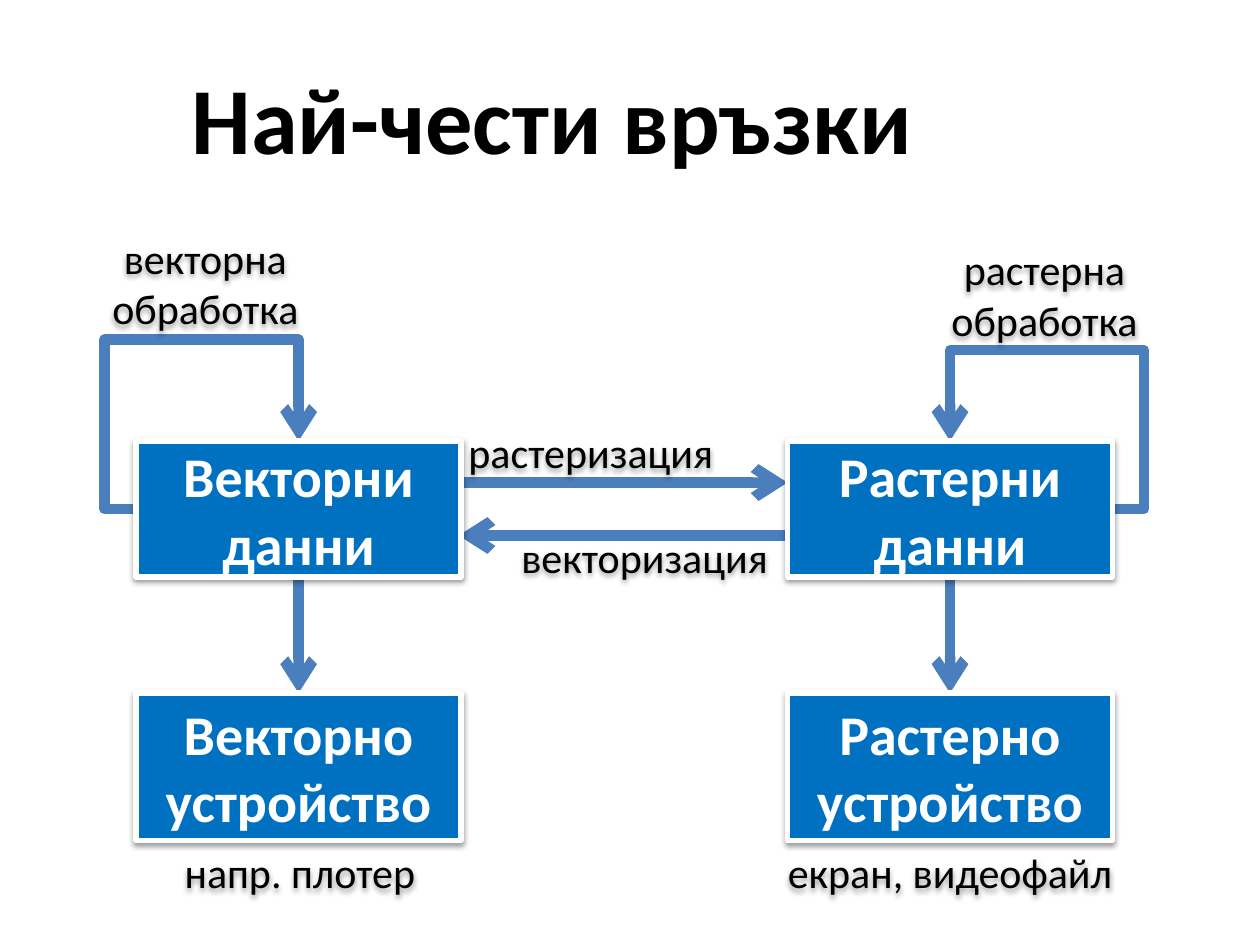
"""Build a slide showing the usual links between vector and raster data."""
from dataclasses import dataclass
from typing import Optional

import lxml.etree
import pptx
import pptx.dml.color
import pptx.enum.shapes
import pptx.enum.text
import pptx.oxml.ns
import pptx.util

Inches = pptx.util.Inches
qn = pptx.oxml.ns.qn
ALIGN = pptx.enum.text.PP_ALIGN
SHAPE = pptx.enum.shapes.MSO_SHAPE
CONNECTOR = pptx.enum.shapes.MSO_CONNECTOR

BLACK, WHITE, BOX_BLUE, ARROW_BLUE = "000000", "FFFFFF", "0070C0", "4B7EBC"
LEFT_X, RIGHT_X, BOX_WIDTH = 1.08, 6.25, 2.58
DATA_Y, DATA_HEIGHT, DEVICE_Y, DEVICE_HEIGHT = 3.5, 1.08, 5.5, 1.17
TOP, LEFT, BOTTOM, RIGHT = range(4)

TITLE_FORMAT = {"name": "Calibri", "size": pptx.util.Pt(54), "bold": True}
BOX_FORMAT = {"name": "Calibri", "size": pptx.util.Pt(32), "bold": True}
LABEL_FORMAT = {"name": "Calibri", "size": pptx.util.Pt(24), "bold": False}


@dataclass
class Block:
    text: str
    left: float
    top: float
    width: float
    height: float
    align: ALIGN = ALIGN.CENTER


@dataclass
class Arrow:
    start: tuple[float, float]
    end: tuple[float, float]
    source: Optional[tuple[str, int]] = None
    target: Optional[tuple[str, int]] = None
    bends: Optional[tuple[int, int]] = None


BOXES = {
    "vector device": Block("Векторно\nустройство", LEFT_X, DEVICE_Y, BOX_WIDTH, DEVICE_HEIGHT),
    "raster device": Block("Растерно устройство", RIGHT_X, DEVICE_Y, BOX_WIDTH, DEVICE_HEIGHT),
    "raster data": Block("Растерни данни", RIGHT_X, DATA_Y, BOX_WIDTH, DATA_HEIGHT),
    "vector data": Block("Векторни\nданни", LEFT_X, DATA_Y, BOX_WIDTH, DATA_HEIGHT),
}
LABELS = [
    Block("векторна обработка", 0.67, 1.83, 1.92, 0.83),
    Block("растерна обработка", 7.25, 1.92, 2.08, 0.83),
    Block("растеризация", 3.58, 3.17, 2.5, 0.83, ALIGN.LEFT),
    Block("векторизация", 4, 4, 2.5, 0.83, ALIGN.LEFT),
    Block("напр. плотер", 0.92, 6.67, 2.92, 0.5),
    Block("екран, видеофайл", 6.08, 6.67, 2.92, 0.5),
]
ARROWS = [
    Arrow((1.08, 4.04), (2.38, 3.5), ("vector data", LEFT), ("vector data", TOP), (-19400, 248700)),
    Arrow((8.83, 4.04), (7.54, 3.5), ("raster data", RIGHT), ("raster data", TOP), (-19400, 233300)),
    Arrow((2.38, 4.58), (2.38, 5.5), ("vector data", BOTTOM), ("vector device", TOP)),
    Arrow((7.54, 4.58), (7.54, 5.5), ("raster data", BOTTOM), ("raster device", TOP)),
    Arrow((3.67, 3.83), (6.25, 3.83)),
    Arrow((6.23, 4.25), (3.64, 4.25)),
]


def color(value: str) -> pptx.dml.color.RGBColor:
    """Return the colour for a hex string."""
    return pptx.dml.color.RGBColor.from_string(value)


def format_text(frame, align: ALIGN, formats: dict, text_color: str) -> None:
    """Format every paragraph of a text frame."""
    frame.vertical_anchor = pptx.enum.text.MSO_ANCHOR.MIDDLE
    frame.word_wrap = True
    for paragraph in frame.paragraphs:
        paragraph.alignment = align
        for run in paragraph.runs:
            for name, value in formats.items():
                setattr(run.font, name, value)
            run.font.color.rgb = color(text_color)


def add_shadow(shape) -> None:
    """Give a shape a soft shadow straight below it."""
    shape.shadow.inherit = False
    effects = shape.element.spPr.find(qn("a:effectLst"))
    shadow = lxml.etree.SubElement(effects, qn("a:outerShdw"), blurRad="40000",
                                   dist="20000", dir="5400000", rotWithShape="0")
    shade = lxml.etree.SubElement(shadow, qn("a:srgbClr"), val=BLACK)
    lxml.etree.SubElement(shade, qn("a:alpha"), val="38000")


def add_block(slide, block: Block, preset: SHAPE, formats: dict, text_color: str):
    """Add a shape with formatted text and a shadow."""
    shape = slide.shapes.add_shape(preset, Inches(block.left), Inches(block.top),
                                   Inches(block.width), Inches(block.height))
    shape.text_frame.text = block.text
    format_text(shape.text_frame, block.align, formats, text_color)
    add_shadow(shape)
    return shape


def add_box(slide, block: Block):
    """Add a filled box with a white outline."""
    shape = add_block(slide, block, SHAPE.RECTANGLE, BOX_FORMAT, WHITE)
    shape.fill.solid()
    shape.fill.fore_color.rgb = color(BOX_BLUE)
    shape.line.color.rgb = color(WHITE)
    shape.line.width = pptx.util.Pt(3)
    return shape


def add_label(slide, block: Block) -> None:
    """Add a label without fill or outline."""
    shape = add_block(slide, block, SHAPE.ROUNDED_RECTANGLE, LABEL_FORMAT, BLACK)
    shape.fill.background()
    shape.line.fill.background()


def add_arrow(slide, arrow: Arrow, boxes: dict) -> None:
    """Add a straight or bent arrow behind the boxes."""
    kind = CONNECTOR.ELBOW if arrow.bends else CONNECTOR.STRAIGHT
    connector = slide.shapes.add_connector(kind, *map(Inches, arrow.start + arrow.end))
    if arrow.source:
        connector.begin_connect(boxes[arrow.source[0]], arrow.source[1])
    if arrow.target:
        connector.end_connect(boxes[arrow.target[0]], arrow.target[1])
    connector.line.color.rgb = color(ARROW_BLUE)
    connector.line.width = pptx.util.Pt(6)
    properties = connector.element.spPr
    lxml.etree.SubElement(properties.find(qn("a:ln")), qn("a:tailEnd"), type="arrow")
    lxml.etree.SubElement(properties, qn("a:effectLst"))
    if arrow.bends:
        geometry = properties.find(qn("a:prstGeom"))
        geometry.set("prst", "bentConnector4")
        guides = geometry.find(qn("a:avLst"))
        for number, bend in enumerate(arrow.bends, 1):
            lxml.etree.SubElement(guides, qn("a:gd"), name=f"adj{number}", fmla=f"val {bend}")
    connector.element.getparent().insert(2, connector.element)


def main() -> None:
    """Build and save the presentation."""
    presentation = pptx.Presentation()
    presentation.slide_width, presentation.slide_height = Inches(10), Inches(7.5)
    slide = presentation.slides.add_slide(presentation.slide_layouts[5])
    title = slide.shapes.title
    place = {"left": 1.42, "top": 0.3, "width": 8.58, "height": 1.25}
    for name, value in place.items():
        setattr(title, name, Inches(value))
    title.text_frame.text = "Най-чести връзки"
    format_text(title.text_frame, ALIGN.LEFT, TITLE_FORMAT, BLACK)
    boxes = {name: add_box(slide, block) for name, block in BOXES.items()}
    for label in LABELS:
        add_label(slide, label)
    for arrow in ARROWS:
        add_arrow(slide, arrow, boxes)
    presentation.save("out.pptx")


if __name__ == "__main__":
    main()
